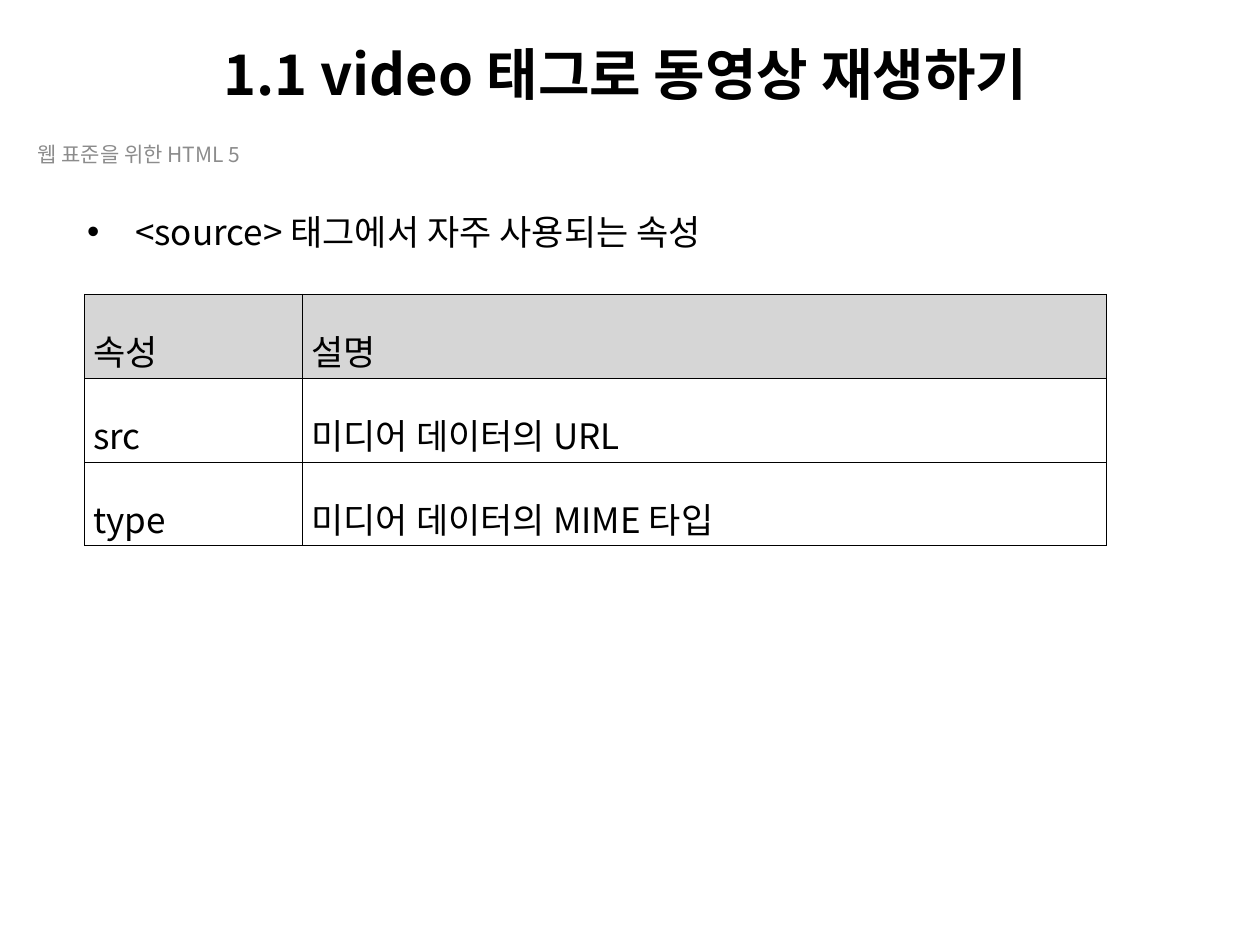
import pptx
import pptx.dml.color
import pptx.enum.text
import pptx.oxml.ns
import pptx.util
from lxml import etree

Cm = pptx.util.Cm
Pt = pptx.util.Pt
Anchor = pptx.enum.text.MSO_ANCHOR
Align = pptx.enum.text.PP_ALIGN
qn = pptx.oxml.ns.qn

FONT = "Noto Sans CJK KR"
BLACK, GRAY, HEADER_GRAY = "000000", "8C8C8C", "D6D6D6"
ATTRIBUTES = [
    ("속성", "설명"),
    ("src", "미디어 데이터의 URL"),
    ("type", "미디어 데이터의 MIME 타입"),
]


def color(hex_value):
    return pptx.dml.color.RGBColor.from_string(hex_value)


def add_run(paragraph, text, size, hex_value=BLACK, bold=False):
    run = paragraph.add_run()
    run.text = text
    run.font.size = Pt(size)
    run.font.bold = bold
    run.font.color.rgb = color(hex_value)
    run.font.name = FONT
    etree.SubElement(run.font._element, qn("a:ea"), typeface=FONT)


def place(shape, left, top, width, height):
    shape.left, shape.top = Cm(left), Cm(top)
    shape.width, shape.height = Cm(width), Cm(height)


def prepare_frame(shape, anchor):
    frame = shape.text_frame
    frame.word_wrap = True
    frame.auto_size = pptx.enum.text.MSO_AUTO_SIZE.NONE
    frame.vertical_anchor = anchor
    return frame.paragraphs[0]


def fill_title(title, text):
    place(title, 0.41, 0.53, 24.41, 1.88)
    heading = prepare_frame(title, Anchor.MIDDLE)
    heading.alignment = Align.CENTER
    add_run(heading, text, 32, bold=True)


def fill_body(body, text):
    place(body, 1.5, 4.11, 23.39, 6.4)
    item = prepare_frame(body, Anchor.TOP)
    properties = item._p.get_or_add_pPr()
    properties.set("marL", str(Cm(0.97)))
    properties.set("indent", str(-Cm(0.97)))
    etree.SubElement(properties, qn("a:buChar"), char="•")
    item.space_before = Pt(0)
    add_run(item, text, 20)


def add_subtitle(slide, text):
    subtitle = slide.shapes.add_textbox(Cm(0.51), Cm(2.72), Cm(7.85), Cm(0.79))
    add_run(prepare_frame(subtitle, Anchor.MIDDLE), text, 12, GRAY)


def add_borders(cell):
    properties = cell._tc.get_or_add_tcPr()
    for side in ("lnL", "lnR", "lnT", "lnB"):
        border = etree.SubElement(properties, qn(f"a:{side}"), w=str(Pt(0.28)))
        line_fill = etree.SubElement(border, qn("a:solidFill"))
        etree.SubElement(line_fill, qn("a:srgbClr"), val=BLACK)


def fill_cell(cell, text, is_header):
    add_borders(cell)
    if is_header:
        cell.fill.solid()
        cell.fill.fore_color.rgb = color(HEADER_GRAY)
    else:
        cell.fill.background()
    cell.margin_left = cell.margin_right = Cm(0.18)
    cell.margin_top, cell.margin_bottom = Cm(0), Cm(0.05)
    cell.vertical_anchor = Anchor.MIDDLE
    entry = cell.text_frame.paragraphs[0]
    entry.alignment = Align.JUSTIFY
    entry.line_spacing = 1.6
    add_run(entry, text, 20)


def add_attribute_table(slide, entries):
    widths, row_height = (4.4, 16.2), 1.69
    attributes = slide.shapes.add_table(
        len(entries), len(widths), Cm(1.7), Cm(5.93),
        Cm(sum(widths)), Cm(row_height * len(entries))).table
    attributes.first_row = attributes.horz_banding = False
    for column, width in zip(attributes.columns, widths):
        column.width = Cm(width)
    for row_index, texts in enumerate(entries):
        attributes.rows[row_index].height = Cm(row_height)
        for column_index, text in enumerate(texts):
            fill_cell(attributes.cell(row_index, column_index), text, row_index == 0)


def main():
    deck = pptx.Presentation()
    deck.slide_width, deck.slide_height = Cm(25.4), Cm(19.05)
    slide = deck.slides.add_slide(deck.slide_layouts[1])

    # Heading and bullet
    fill_title(slide.shapes.title, "1.1 video 태그로 동영상 재생하기")
    fill_body(slide.placeholders[1], "<source> 태그에서 자주 사용되는 속성")

    # Course name under the heading
    add_subtitle(slide, "웹 표준을 위한 HTML 5")

    # Attributes of the source tag
    add_attribute_table(slide, ATTRIBUTES)

    deck.save("out.pptx")


if __name__ == "__main__":
    main()
